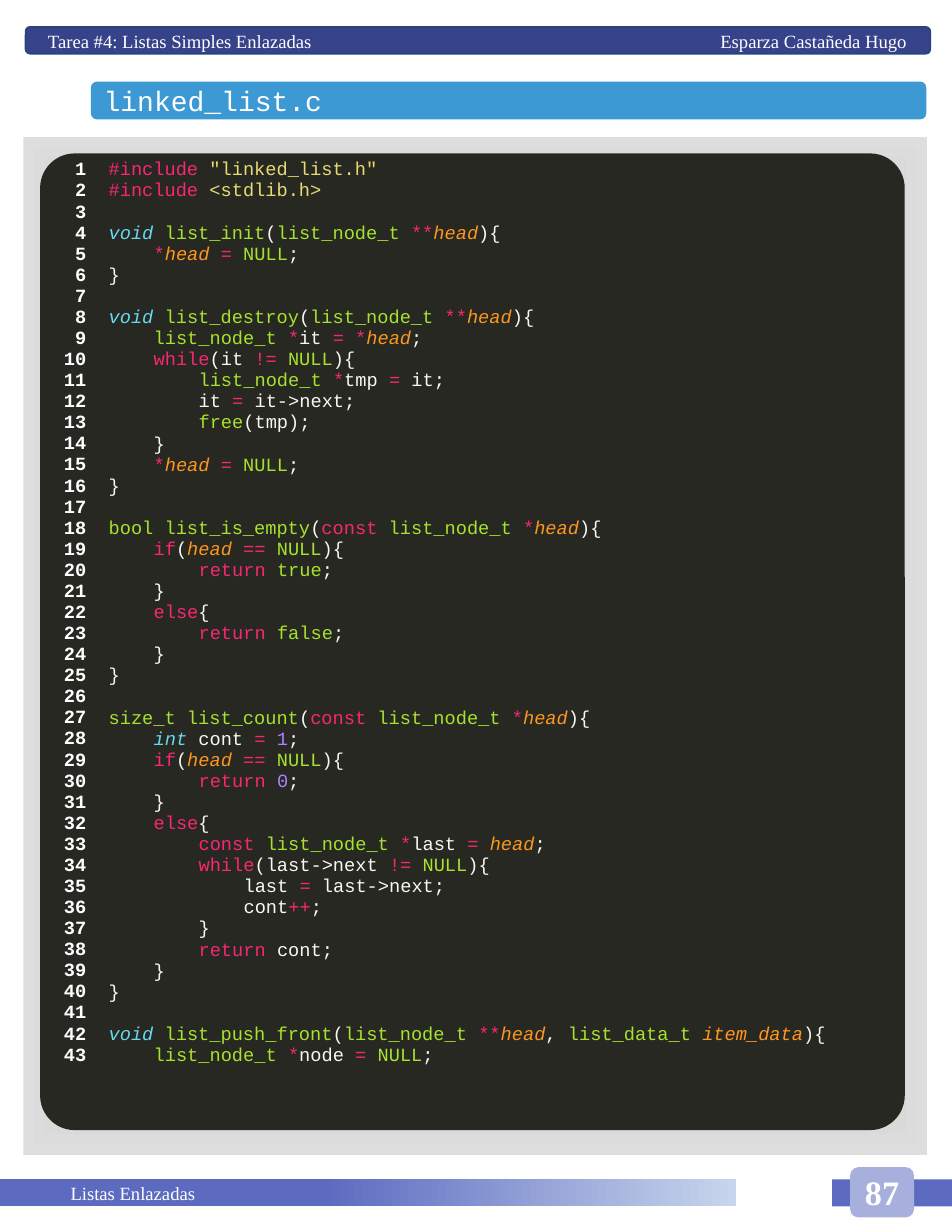
from itertools import groupby

from lxml import etree
from pptx import Presentation
from pptx.dml.color import RGBColor
from pptx.enum.shapes import MSO_SHAPE
from pptx.enum.text import MSO_ANCHOR, PP_ALIGN
from pptx.oxml import parse_xml
from pptx.oxml.ns import qn
from pptx.util import Cm, Pt

RECT, ROUND = MSO_SHAPE.RECTANGLE, MSO_SHAPE.ROUNDED_RECTANGLE
MIDDLE = MSO_ANCHOR.MIDDLE
LEFT, CENTER, RIGHT = PP_ALIGN.LEFT, PP_ALIGN.CENTER, PP_ALIGN.RIGHT
SERIF, MONO = "Times New Roman", "Courier New"
PLAIN = "{2D5ABB26-0587-4C30-8999-92F81FD0307C}"  # table style without grid
NS = "http://schemas.openxmlformats.org/drawingml/2006/main"

COLORS = {
    "white": "FFFFFF", "indigo": "5C6BC0", "lilac": "A7AFDD", "pale": "C7D5ED",
    "navy": "36428A", "edge": "28457A", "blue": "3C99D4",
    "gray": "7B7B7B", "silver": "BCBCBC", "light": "DEDEDE", "dark": "272822",
    "text": "F8F8F2", "pink": "F92672", "cyan": "66D9EF", "green": "A6E22E",
    "orange": "FD971F", "yellow": "E6DB74", "purple": "AE81FF",
}

# Syntax colours: each token is looked up here, all others are plain text
TOKENS = {
    "pink": "#include while if else return const * ** = == != ++",
    "cyan": "void int",
    "green": "list_init list_destroy list_is_empty list_count list_push_front "
             "list_node_t list_data_t bool size_t free NULL true false",
    "orange": "head item_data",
    "yellow": '" < > . linked_list stdlib h',
    "purple": "0 1",
}
SYNTAX = {word: name for name, words in TOKENS.items() for word in words.split()}
ITALIC = ("cyan", "orange")

# Code blocks, one blank line between them
BLOCKS = ["""
#include "linked_list.h"
#include <stdlib.h>
""", """
void list_init(list_node_t **head){
    *head = NULL;
}
""", """
void list_destroy(list_node_t **head){
    list_node_t *it = *head;
    while(it != NULL){
        list_node_t *tmp = it;
        it = it->next;
        free(tmp);
    }
    *head = NULL;
}
""", """
bool list_is_empty(const list_node_t *head){
    if(head == NULL){
        return true;
    }
    else{
        return false;
    }
}
""", """
size_t list_count(const list_node_t *head){
    int cont = 1;
    if(head == NULL){
        return 0;
    }
    else{
        const list_node_t *last = head;
        while(last->next != NULL){
            last = last->next;
            cont++;
        }
        return cont;
    }
}
""", """
void list_push_front(list_node_t **head, list_data_t item_data){
    list_node_t *node = NULL;
"""]


def kind(char):
    """Class of a character, for cutting a line into tokens."""
    if char.isalnum() or char in "_#":
        return "word"
    return "sign" if char in "*=!+" else "space" if char == " " else "mark"


def split(line):
    """Cut a code line into [text, colour] runs."""
    runs = []
    for group, chars in groupby(line, kind):
        token = "".join(chars)
        color = SYNTAX.get(token, "text")
        if runs and (group == "space" or runs[-1][1] == color):
            runs[-1][0] += token
        else:
            runs.append([token, color])
    return runs


class Sheet:
    """Holds the style and the current slide."""

    def __init__(self, slide):
        self.slide = slide
        self.step = Cm(1.02)   # one code indent
        self.line = Pt(13.6)   # one code line

    def color(self, name):
        return RGBColor.from_string(COLORS[name])

    def run(self, para, text, color="white", **style):
        run = para.add_run()
        run.text = text
        look = {"name": SERIF, "size": Pt(12), "bold": False, **style}
        for key, value in look.items():
            setattr(run.font, key, value)
        run.font.color.rgb = self.color(color)

    def shape(self, form, box, fill=None, edge=None):
        shape = self.slide.shapes.add_shape(form, *map(Cm, box))
        shape.shadow.inherit = False
        if fill:
            shape.fill.solid()
            shape.fill.fore_color.rgb = self.color(fill)
        if edge:
            shape.line.color.rgb = self.color(edge)
            shape.line.width = Pt(1)
        else:
            shape.line.fill.background()
        return shape

    def blend(self, shape, stops, way):
        grad = parse_xml(f'<a:gradFill xmlns:a="{NS}" rotWithShape="1"><a:gsLst/>{way}</a:gradFill>')
        for pos, name in stops:
            stop = etree.SubElement(grad[0], qn("a:gs"), pos=str(pos * 1000))
            etree.SubElement(stop, qn("a:srgbClr"), val=COLORS[name])
        shape.fill.background()
        none = shape._element.spPr.find(qn("a:noFill"))
        none.getparent().replace(none, grad)

    def label(self, shape, text, align=LEFT, inset=0.25, **style):
        frame = shape.text_frame
        layout = {"word_wrap": True, "vertical_anchor": MIDDLE, "margin_left": Cm(inset)}
        for key, value in layout.items():
            setattr(frame, key, value)
        para = frame.paragraphs[0]
        para.alignment = align
        self.run(para, text, **style)
        return para

    def tab(self, para, pos):
        tabs = etree.SubElement(para._p.get_or_add_pPr(), qn("a:tabLst"))
        etree.SubElement(tabs, qn("a:tab"), pos=str(Cm(pos)), algn="r")

    def listing(self, box, cols, blocks):
        frame = self.slide.shapes.add_table(1, len(cols), *map(Cm, box))
        table = frame.table
        table.first_row = table.horz_banding = False
        table._tbl.tblPr.find(qn("a:tableStyleId")).text = PLAIN
        for col, width in zip(table.columns, cols):
            col.width = Cm(width)
        for cell in table.iter_cells():
            cell.fill.background()
        nums, code = (cell.text_frame for cell in table.iter_cells())
        lines = "\n\n".join(block.strip() for block in blocks).split("\n")
        gap = 0
        for num, line in enumerate(lines, 1):
            para = nums.paragraphs[0] if num == 1 else nums.add_paragraph()
            para.alignment = RIGHT
            self.run(para, str(num), name=MONO, bold=True)
            body = line.lstrip()
            if not body:
                gap = self.line
                continue
            para = code.paragraphs[0] if num == 1 else code.add_paragraph()
            para.space_before, gap = gap, 0
            depth = (len(line) - len(body)) // 4
            para._p.get_or_add_pPr().set("marL", str(depth * self.step))
            for text, color in split(body):
                self.run(para, text, color, name=MONO, italic=color in ITALIC)


def main():
    deck = Presentation()
    deck.slide_width, deck.slide_height = Cm(21.59), Cm(27.94)
    sheet = Sheet(deck.slides.add_slide(deck.slide_layouts[6]))

    # Footer with page number
    sheet.shape(RECT, (18.87, 26.75, 2.72, 0.61), "indigo")
    badge = sheet.shape(ROUND, (19.28, 26.47, 1.45, 1.14), "lilac")
    sheet.label(badge, "87", CENTER, size=Pt(22), bold=True)
    foot = sheet.shape(RECT, (0, 26.75, 16.69, 0.61))
    sheet.blend(foot, [(44, "indigo"), (100, "pale")], '<a:lin ang="0" scaled="0"/>')
    sheet.label(foot, "Listas Enlazadas", inset=1.6)

    # Header: task on the left, author at the right tab
    head = sheet.shape(ROUND, (0.58, 0.61, 20.52, 0.61), "navy", "edge")
    para = sheet.label(head, "Tarea #4: Listas Simples Enlazadas", inset=0.48)
    sheet.run(para, "\t", size=Pt(14))
    sheet.run(para, "Esparza Castañeda Hugo")
    sheet.tab(para, 19.48)

    # File name
    title = sheet.shape(ROUND, (2.06, 1.85, 18.95, 0.86), "blue")
    sheet.label(title, "linked_list.c", name=MONO, size=Pt(18))

    # Code panel
    panel = sheet.shape(RECT, (0.53, 3.1, 20.5, 23.09))
    sheet.blend(panel, [(11, "gray"), (61, "silver"), (100, "light"), (100, "white")],
                '<a:path path="rect"><a:fillToRect l="50000" t="50000" r="50000" b="50000"/></a:path>')
    board = sheet.shape(ROUND, (0.91, 3.48, 19.61, 22.15), "dark")
    board.adjustments[0] = 0.04
    sheet.listing((0.91, 3.51, 20.17, 22.1), (1.3, 18.87), BLOCKS)

    deck.save("out.pptx")


if __name__ == "__main__":
    main()
